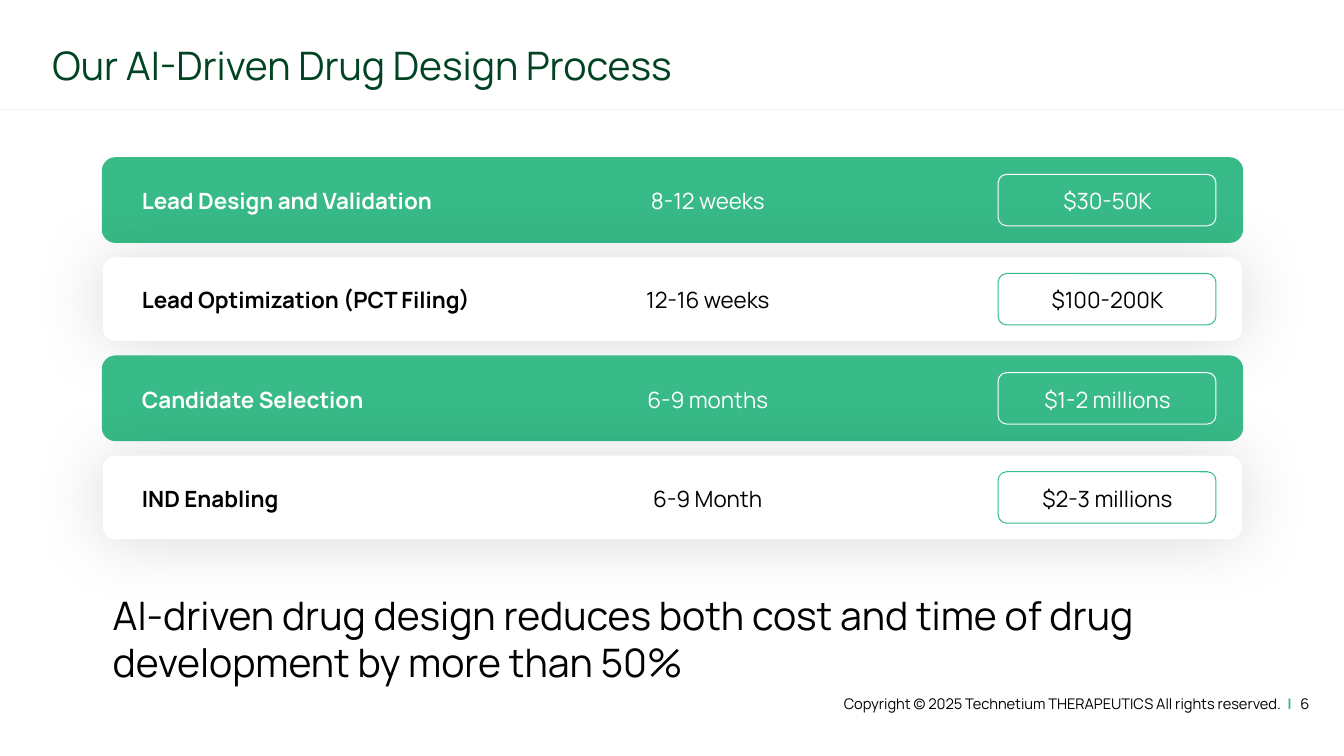
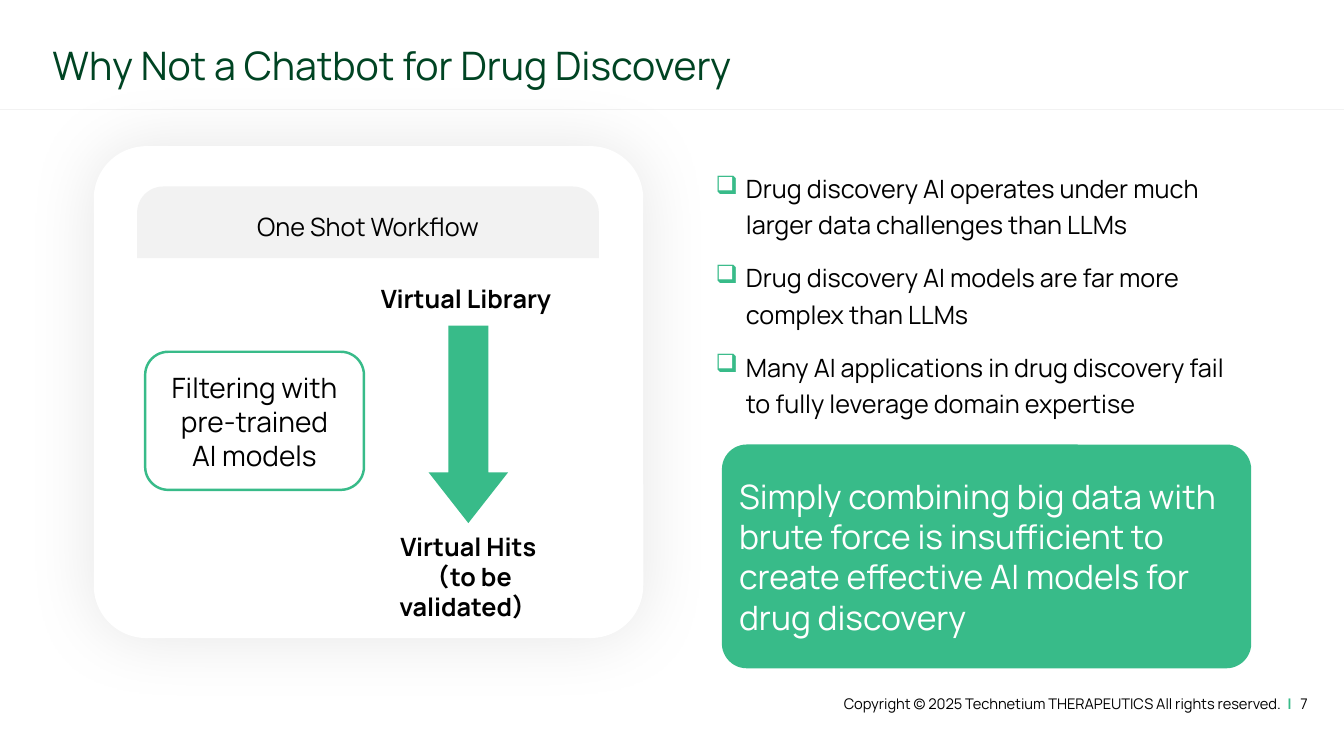
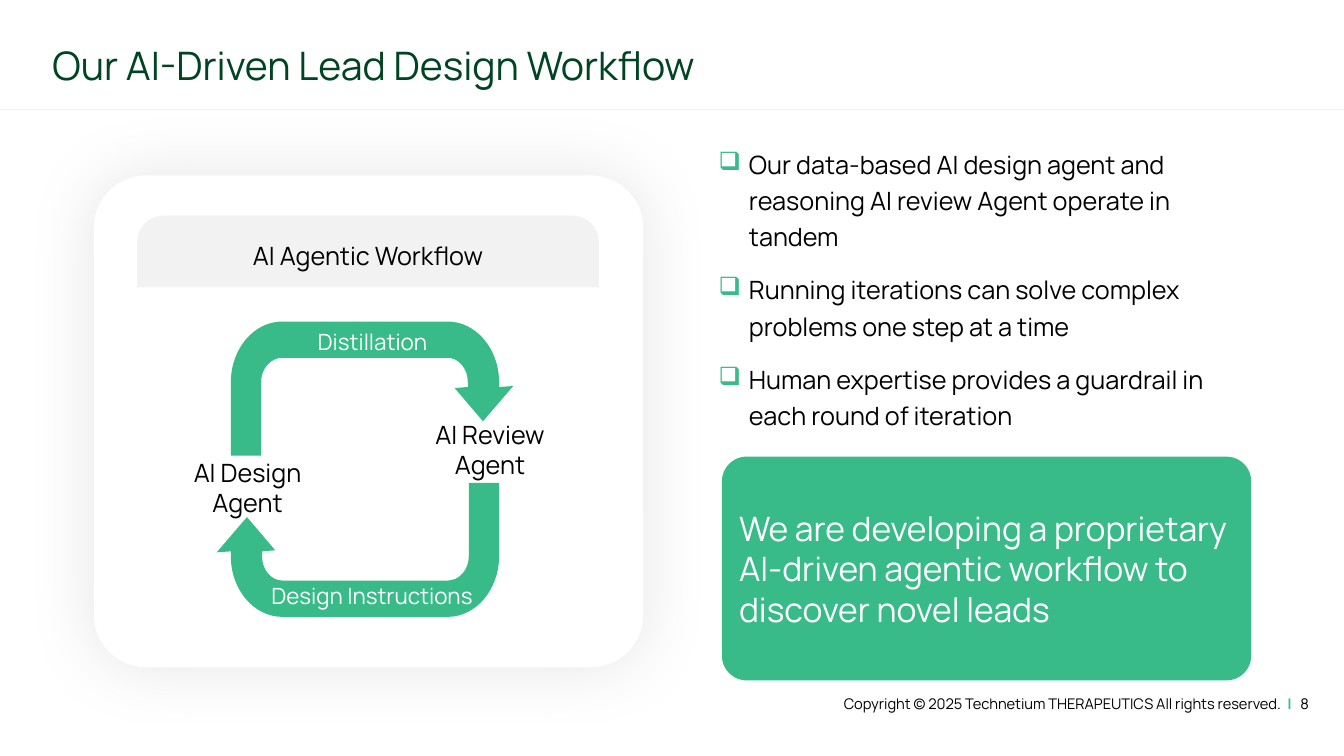
from lxml.etree import Element, SubElement
from pptx import Presentation
from pptx.dml.color import RGBColor
from pptx.enum.shapes import MSO_CONNECTOR, MSO_SHAPE
from pptx.enum.text import MSO_ANCHOR, MSO_AUTO_SIZE, PP_ALIGN
from pptx.oxml.ns import qn
from pptx.util import Inches, Pt

FONT = "Manrope"
BULLET_FONT, BULLET_BOX = "Wingdings", "q"
GREEN = RGBColor(0x38, 0xBB, 0x89)
DARK_GREEN = RGBColor(0x00, 0x44, 0x23)
LIGHT_GRAY = RGBColor(0xF2, 0xF2, 0xF2)
BLACK = RGBColor(0x00, 0x00, 0x00)
WHITE = RGBColor(0xFF, 0xFF, 0xFF)

SLIDE_WIDTH, SLIDE_HEIGHT = 13.33, 7.5
COPYRIGHT = "Copyright © 2025 Technetium THERAPEUTICS All rights reserved."

STAGES = [
    ("Lead Design and Validation", "8-12 weeks", "$30-50K"),
    ("Lead Optimization (PCT Filing）", "12-16 weeks", "$100-200K"),
    ("Candidate Selection", "6-9 months", "$1-2 millions"),
    ("IND Enabling", "6-9 Month", "$2-3 millions"),
]


def inches(*lengths):
    return [Inches(length) for length in lengths]


def format_font(font, size, color, bold=False):
    font.name = FONT
    font.size = Pt(size)
    font.bold = bold
    font.color.rgb = color


def write(shape, text, size, color=BLACK, bold=False, align=PP_ALIGN.LEFT):
    shape.text_frame.text = text
    for paragraph in shape.text_frame.paragraphs:
        paragraph.alignment = align
        for run in paragraph.runs:
            format_font(run.font, size, color, bold)


def add_text(slide, box, text, size, color=BLACK, bold=False,
             align=PP_ALIGN.LEFT, wrap=True):
    shape = slide.shapes.add_textbox(*inches(*box))
    shape.text_frame.word_wrap = wrap
    shape.text_frame.auto_size = MSO_AUTO_SIZE.SHAPE_TO_FIT_TEXT
    write(shape, text, size, color, bold, align)
    return shape


def paint(shape, fill=None, line=None, line_width=0.75):
    shape.shadow.inherit = False
    if fill is None:
        shape.fill.background()
    else:
        shape.fill.solid()
        shape.fill.fore_color.rgb = fill
    if line is None:
        shape.line.fill.background()
    else:
        shape.line.color.rgb = line
        shape.line.width = Pt(line_width)


def add_box(slide, kind, box, adjustments=(), **colors):
    shape = slide.shapes.add_shape(kind, *inches(*box))
    for index, value in enumerate(adjustments):
        shape.adjustments[index] = value
    paint(shape, **colors)
    shape.text_frame.vertical_anchor = MSO_ANCHOR.MIDDLE
    return shape


def add_glow(shape, opacity):
    """Give the shape a soft, centred black shadow; opacity is in percent."""
    effects = shape._element.spPr.find(qn("a:effectLst"))
    shadow = SubElement(effects, qn("a:outerShdw"), blurRad=str(Pt(50)),
                        dist="0", dir="0", algn="ctr", rotWithShape="0")
    color = SubElement(shadow, qn("a:srgbClr"), val=str(BLACK))
    SubElement(color, qn("a:alpha"), val=str(opacity * 1000))


def add_footer(slide, number):
    shape = slide.shapes.add_textbox(*inches(7.52, 6.72, 5.57, 0.52))
    frame = shape.text_frame
    frame.word_wrap = True
    frame.vertical_anchor = MSO_ANCHOR.MIDDLE
    paragraph = frame.paragraphs[0]
    stops = SubElement(paragraph._p.get_or_add_pPr(), qn("a:tabLst"))
    for position, align in ((5.09, "r"), (5.15, "l"), (5.28, "l")):
        SubElement(stops, qn("a:tab"), pos=str(Inches(position)), algn=align)
    for text, color, bold in ((COPYRIGHT, BLACK, False), ("|", GREEN, True),
                              (str(number), BLACK, False)):
        run = paragraph.add_run()
        run.text = "\t" + text
        format_font(run.font, 10.5, color, bold)


def add_titled_slide(presentation, title, number):
    slide = presentation.slides.add_slide(presentation.slide_layouts[5])
    rule = slide.shapes.add_connector(
        MSO_CONNECTOR.STRAIGHT, *inches(0, 1.09, SLIDE_WIDTH, 1.09))
    rule.line.color.rgb = LIGHT_GRAY
    rule.line.width = Pt(0.75)
    SubElement(rule._element.spPr, qn("a:effectLst"))

    shape = slide.shapes.title
    shape.left, shape.top, shape.width, shape.height = inches(0.42, 0.26, 9.76, 0.82)
    write(shape, title, 28, DARK_GREEN)
    shape.text_frame.vertical_anchor = MSO_ANCHOR.MIDDLE
    shape.text_frame.auto_size = MSO_AUTO_SIZE.NONE
    shape.text_frame.paragraphs[0].line_spacing = 0.9
    add_footer(slide, number)
    return slide


def add_stage_row(slide, left, top, stage, highlighted):
    label, duration, cost = stage
    text_color = WHITE if highlighted else BLACK
    bar = add_box(slide, MSO_SHAPE.ROUNDED_RECTANGLE, (left, top, 11.3, 0.83), [0.151],
                  fill=GREEN if highlighted else WHITE,
                  line=GREEN if highlighted else None, line_width=1.5)
    if not highlighted:
        add_glow(bar, 15)
    text_top = top + 0.24
    add_text(slide, (left + 0.29, text_top, 4.55, 0.37), label, 16, text_color, bold=True)
    add_text(slide, (left + 9.11, text_top, 1.71, 0.37), cost, 16, text_color,
             align=PP_ALIGN.CENTER)
    add_text(slide, (left + 4.83, text_top, 2.34, 0.37), duration, 16, text_color,
             align=PP_ALIGN.CENTER)
    add_box(slide, MSO_SHAPE.ROUNDED_RECTANGLE, (left + 8.88, top + 0.16, 2.16, 0.51),
            line=WHITE if highlighted else GREEN)


def add_workflow_panel(slide, left, top, heading):
    panel = add_box(slide, MSO_SHAPE.ROUNDED_RECTANGLE, (left, top, 5.45, 4.88), [0.107],
                    fill=WHITE)
    add_glow(panel, 9)
    header = add_box(slide, MSO_SHAPE.ROUND_2_SAME_RECTANGLE,
                     (left + 0.43, top + 0.4, 4.58, 0.71), [0.365, 0], fill=LIGHT_GRAY)
    write(header, heading, 18, align=PP_ALIGN.CENTER)


def add_bullets(slide, box, items):
    shape = add_text(slide, box, "\n".join(items), 18)
    for index, paragraph in enumerate(shape.text_frame.paragraphs):
        properties = paragraph._p.get_or_add_pPr()
        properties.set("marL", str(Inches(0.3)))
        properties.set("indent", str(Inches(-0.3)))
        color = SubElement(properties, qn("a:buClr"))
        SubElement(color, qn("a:srgbClr"), val=str(GREEN))
        SubElement(properties, qn("a:buFont"), typeface=BULLET_FONT, charset="2")
        SubElement(properties, qn("a:buChar"), char=BULLET_BOX)
        paragraph.line_spacing = 1.2
        if index:
            paragraph.space_before = Pt(12)


def add_callout(slide, top, text):
    shape = add_box(slide, MSO_SHAPE.ROUNDED_RECTANGLE, (7.16, top, 5.25, 2.22), [0.111],
                    fill=GREEN)
    write(shape, text, 24, WHITE)


def add_one_shot_flow(slide, left, top):
    add_box(slide, MSO_SHAPE.DOWN_ARROW, (left + 3.32, top + 1.78, 0.79, 1.96),
            [0.5, 0.638], fill=GREEN)
    add_text(slide, (left + 0.63, top + 2.18, 1.93, 1.14),
             "Filtering with pre-trained AI models", 20, align=PP_ALIGN.CENTER)
    add_text(slide, (left + 2.75, top + 1.31, 1.93, 0.4), "Virtual Library", 18,
             bold=True, wrap=False)
    add_text(slide, (left + 2.49, top + 3.77, 2.45, 0.71),
             "Virtual Hits\n（to be validated）", 18, bold=True,
             align=PP_ALIGN.CENTER, wrap=False)
    add_box(slide, MSO_SHAPE.ROUNDED_RECTANGLE, (left + 0.51, top + 2.04, 2.17, 1.37),
            line=GREEN, line_width=1.75)


def round_corner(outline, index):
    """Replace the two lines that meet at the corner by one quarter ellipse."""
    start, corner, end = [
        [int(step[0].get(axis)) for axis in ("x", "y")]
        for step in outline[index - 1:index + 2]]
    controls = [[round(a + 0.55 * (c - a)) for a, c in zip(point, corner)]
                for point in (start, end)]
    curve = Element(qn("a:cubicBezTo"))
    for x, y in (*controls, end):
        SubElement(curve, qn("a:pt"), x=str(x), y=str(y))
    for line in outline[index:index + 2]:
        line.getparent().replace(line, curve) if line is outline[index] \
            else line.getparent().remove(line)


def add_loop_arrow(slide, left, top, turned=False):
    """Draw a bent arrow pointing down at its right end, or turned by 180 degrees."""
    width, height = 2.8, 1.33
    points = [(2.8, 0.64), (2.5, 0.99), (2.22, 0.66), (2.35, 0.65),
              (2.35, 0.6), (2.35, 0.36), (2.15, 0.36),
              (0.51, 0.36), (0.3, 0.36), (0.3, 0.6),
              (0.3, height), (0, height),
              (0, 0.6), (0, 0), (0.51, 0),
              (2.15, 0), (2.66, 0), (2.66, 0.6), (2.66, 0.65)]
    round_corners = [5, 8, 13, 16]
    if turned:
        points = [(width - x, height - y) for x, y in points]
    corners = [inches(left + x, top + y) for x, y in points]
    builder = slide.shapes.build_freeform(*corners[0], scale=1.0)
    builder.add_line_segments(corners[1:], close=True)
    arrow = builder.convert_to_shape()
    outline = list(next(arrow._element.iter(qn("a:path"))))
    for index in round_corners:
        round_corner(outline, index)
    paint(arrow, fill=GREEN)


def add_agent_loop(slide, left, top):
    add_loop_arrow(slide, left + 1.36, top + 1.45)
    add_loop_arrow(slide, left + 1.22, top + 3.05, turned=True)
    labels = [
        ((3.13, 2.37, 1.6, 0.66), "AI Review Agent", 18, BLACK),
        ((0.71, 2.75, 1.63, 0.66), "AI Design Agent", 18, BLACK),
        ((1.95, 1.47, 1.63, 0.35), "Distillation", 16, WHITE),
        ((1.64, 3.99, 2.24, 0.35), "Design Instructions", 16, WHITE),
    ]
    for (x, y, width, height), text, size, color in labels:
        add_text(slide, (left + x, top + y, width, height), text, size, color,
                 align=PP_ALIGN.CENTER)


def build_process_slide(presentation):
    slide = add_titled_slide(presentation, "Our AI-Driven Drug Design Process", 6)
    first_top, last_top = 1.57, 4.52
    pitch = (last_top - first_top) / (len(STAGES) - 1)
    for index, stage in enumerate(STAGES):
        add_stage_row(slide, 1.02, first_top + pitch * index, stage,
                      highlighted=index % 2 == 0)
    add_text(slide, (1.02, 5.82, 11.4, 1.04),
             "AI-driven drug design reduces both cost and time of drug development "
             "by more than 50%", 28)


def build_one_shot_slide(presentation):
    slide = add_titled_slide(presentation, "Why Not a Chatbot for Drug Discovery", 7)
    left, top = 0.93, 1.45
    add_workflow_panel(slide, left, top, "One Shot Workflow")
    add_one_shot_flow(slide, left, top)
    add_bullets(slide, (7, 1.61, 5.46, 2.59), [
        "Drug discovery AI operates under much larger data challenges than LLMs",
        "Drug discovery AI models are far more complex than LLMs",
        "Many AI applications in drug discovery fail to fully leverage domain expertise",
    ])
    add_callout(slide, 4.41, "Simply combining big data with brute force is insufficient "
                             "to create effective AI models for drug discovery")


def build_agentic_slide(presentation):
    slide = add_titled_slide(presentation, "Our AI-Driven Lead Design Workflow", 8)
    left, top = 0.93, 1.74
    add_workflow_panel(slide, left, top, "AI Agentic Workflow")
    add_agent_loop(slide, left, top)
    add_bullets(slide, (7.03, 1.37, 5.46, 2.95), [
        "Our data-based AI design agent and reasoning AI review Agent operate in tandem",
        "Running iterations can solve complex problems one step at a time",
        "Human expertise provides a guardrail in each round of iteration",
    ])
    add_callout(slide, 4.53, "We are developing a proprietary AI-driven agentic workflow "
                             "to discover novel leads")


def main():
    presentation = Presentation()
    presentation.slide_width, presentation.slide_height = inches(SLIDE_WIDTH, SLIDE_HEIGHT)
    build_process_slide(presentation)
    build_one_shot_slide(presentation)
    build_agentic_slide(presentation)
    presentation.save("out.pptx")


if __name__ == "__main__":
    main()
